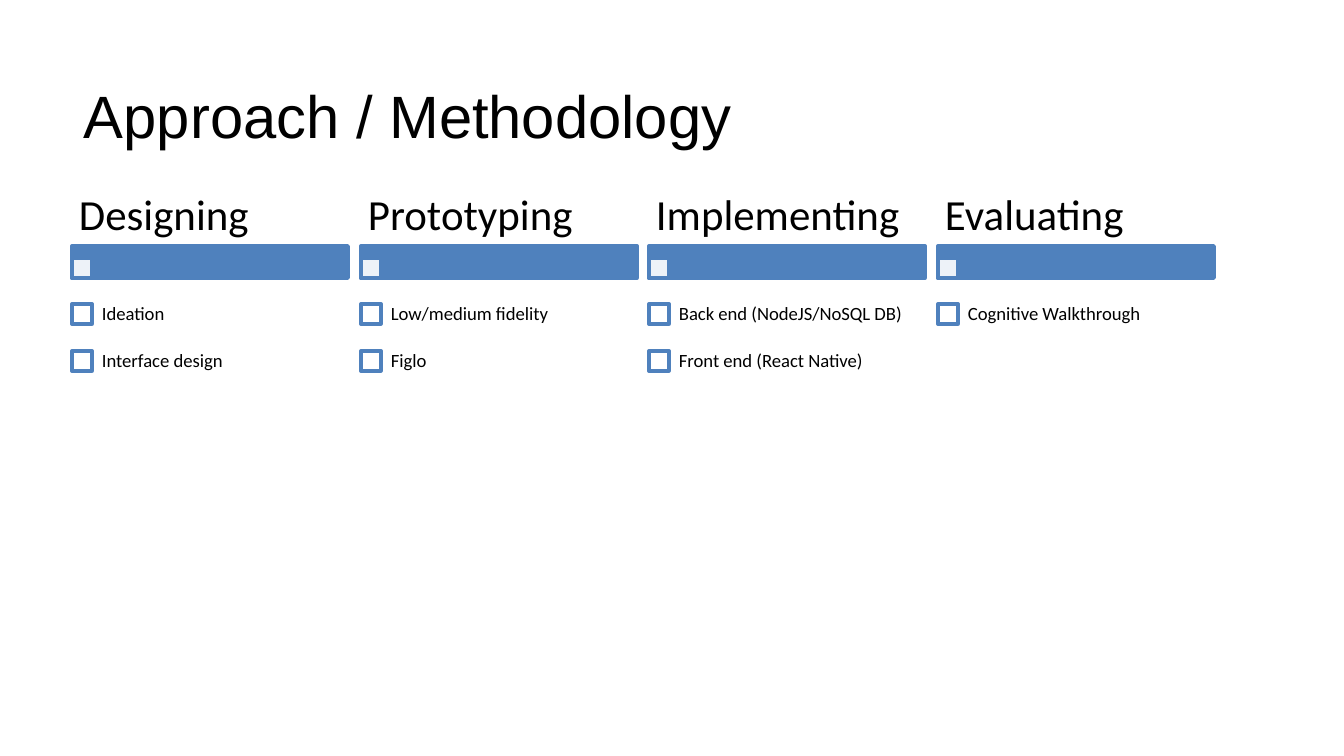
from lxml.etree import SubElement
from pptx import Presentation
from pptx.dml.color import RGBColor
from pptx.enum.shapes import MSO_SHAPE
from pptx.enum.text import MSO_ANCHOR
from pptx.oxml.ns import qn
from pptx.util import Pt

TITLE = "Approach / Methodology"
STAGES = [
    ("Designing", ["Ideation", "Interface design"]),
    ("Prototyping", ["Low/medium fidelity", "Figlo"]),
    ("Implementing", ["Back end (NodeJS/NoSQL DB)", "Front end (React Native)"]),
    ("Evaluating", ["Cognitive Walkthrough"]),
]

BLUE = RGBColor(0x4F, 0x81, 0xBD)
WHITE = RGBColor(0xFF, 0xFF, 0xFF)
BLACK = RGBColor(0, 0, 0)

PX = 914400 / 134.4
LEFT, RIGHT = 72, 1214
COL_W = 276
PITCH = (RIGHT - LEFT - COL_W) / (len(STAGES) - 1)
HEAD_Y, HEAD_H = 188, 58
BAR_Y, BAR_H = 246, 32
ITEM_Y, ITEM_H = 291, 47
BOX = 20
BAR_BOX_Y = 258


def px(*values):
    return [round(v * PX) for v in values]


prs = Presentation()
prs.slide_width, prs.slide_height = px(1344, 756)
s = prs.slides.add_slide(prs.slide_layouts[6])


def add_box(x, y, w, h, fill, alpha=None):
    sp = s.shapes.add_shape(MSO_SHAPE.RECTANGLE, *px(x, y, w, h))
    sp.shadow.inherit = False
    sp.fill.solid()
    sp.fill.fore_color.rgb = fill
    sp.line.color.rgb = BLUE
    sp.line.width = Pt(2)
    if alpha:
        color = sp.fill._xPr.find(qn("a:solidFill"))[0]
        SubElement(color, qn("a:alpha"), val=str(alpha * 1000))


def add_text(text, x, y, w, h, size, font, insets, anchor=MSO_ANCHOR.MIDDLE, spacing=0.9):
    tf = s.shapes.add_textbox(*px(x, y, w, h)).text_frame
    tf.word_wrap = True
    tf.vertical_anchor = anchor
    tf.margin_left, tf.margin_top = px(*insets)
    tf.margin_right, tf.margin_bottom = px(*insets)
    p = tf.paragraphs[0]
    p.text = text
    p.line_spacing = spacing
    p.font.size = Pt(size)
    p.font.name = font
    p.font.color.rgb = BLACK


add_text(TITLE, 71, 66, 1142, 90, 32, "Arial", (13, 13), MSO_ANCHOR.TOP, 1.0)

for i, (stage, items) in enumerate(STAGES):
    x = round(LEFT + i * PITCH)
    add_box(x, BAR_Y, COL_W, BAR_H, BLUE)
    add_box(x, BAR_BOX_Y, BOX, BOX, WHITE, alpha=90)
    add_text(stage, x, HEAD_Y, COL_W, HEAD_H, 23, "Calibri", (7, 4))
    for j, item in enumerate(items):
        y = ITEM_Y + j * ITEM_H
        add_box(x, y + (ITEM_H - BOX) // 2, BOX, BOX, WHITE)
        add_text(item, x + BOX, y, COL_W - BOX, ITEM_H, 10, "Calibri", (10, 10))

prs.save("out.pptx")
